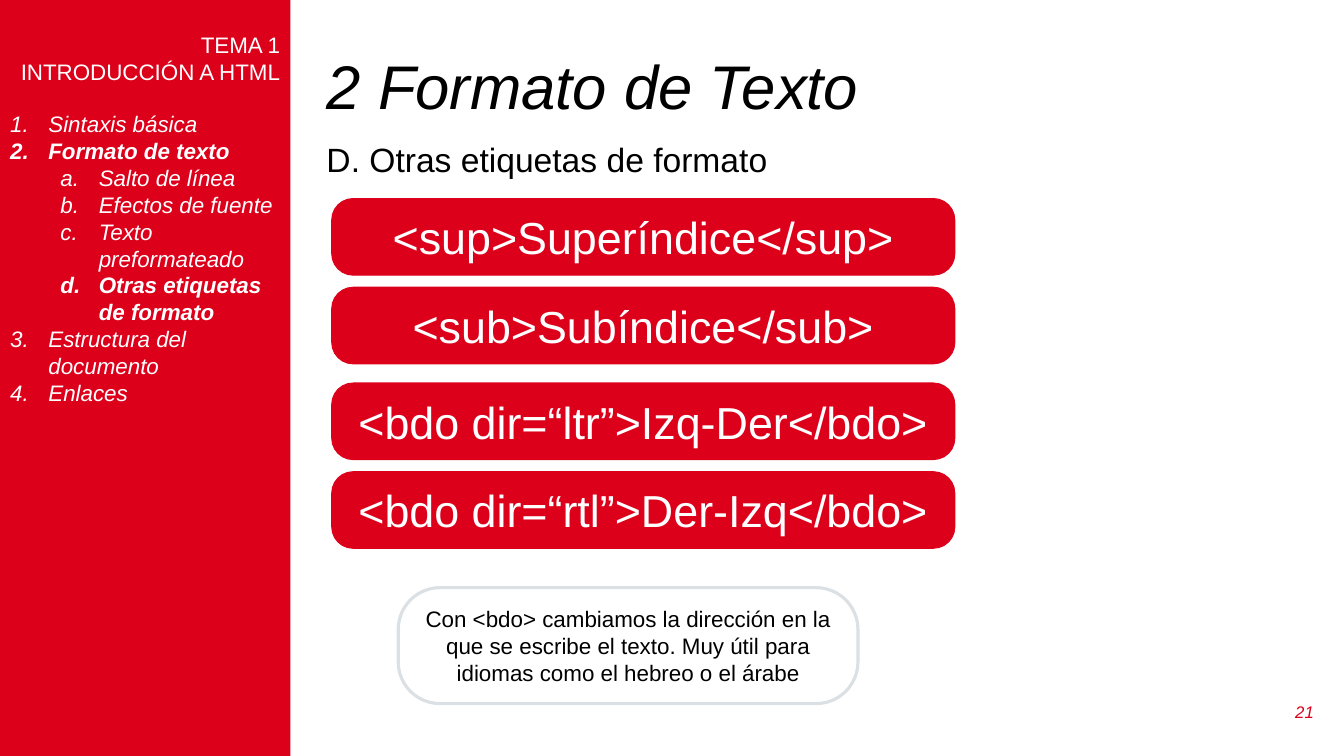
from pptx import Presentation
from pptx.dml.color import RGBColor
from pptx.enum.shapes import MSO_SHAPE
from pptx.enum.text import MSO_ANCHOR, MSO_AUTO_SIZE, PP_ALIGN
from pptx.oxml.ns import qn
from pptx.util import Inches, Pt
from lxml import etree

ROUNDED = MSO_SHAPE.ROUNDED_RECTANGLE
TOP, MIDDLE = MSO_ANCHOR.TOP, MSO_ANCHOR.MIDDLE
LEFT, CENTER, RIGHT = PP_ALIGN.LEFT, PP_ALIGN.CENTER, PP_ALIGN.RIGHT
NO_AUTOFIT = MSO_AUTO_SIZE.NONE

RED = RGBColor(0xDC, 0x00, 0x1B)
GRAY = RGBColor(0xDA, 0xE0, 0xE4)
WHITE = RGBColor(0xFF, 0xFF, 0xFF)
BLACK = RGBColor(0x00, 0x00, 0x00)
FONT = "Arial"

TITLE = "2 Formato de Texto"
SUBTITLE = "D. Otras etiquetas de formato"
UNIT = ["TEMA 1", "INTRODUCCIÓN A HTML"]
OUTLINE = [
    (0, "Sintaxis básica", False),
    (0, "Formato de texto", True),
    (1, "Salto de línea", False),
    (1, "Efectos de fuente", False),
    (1, "Texto preformateado", False),
    (1, "Otras etiquetas de formato", True),
    (0, "Estructura del documento", False),
    (0, "Enlaces", False),
]
TAG_PAIRS = [
    ["<sup>Superíndice</sup>", "<sub>Subíndice</sub>"],
    ["<bdo dir=“ltr”>Izq-Der</bdo>", "<bdo dir=“rtl”>Der-Izq</bdo>"],
]
NOTE = ("Con <bdo> cambiamos la dirección en la que se escribe el texto. "
        "Muy útil para idiomas como el hebreo o el árabe")
PAGE_NUMBER = "21"

PAGE_WIDTH, PAGE_HEIGHT = 13.33, 7.5
SIDEBAR_WIDTH = 2.88
CONTENT_LEFT = 3.14
TAG_LEFT, TAG_TOP, TAG_WIDTH, TAG_HEIGHT = 3.29, 1.97, 6.18, 0.76
TAG_STEP, PAIR_STEP = 0.88, 1.83
NUMBERING = [("arabicPeriod", 0.38), ("alphaLcPeriod", 0.88)]
HANGING = 0.38
LINE = 18.4


def place(box, left, top, width, height):
    box.left, box.top = Inches(left), Inches(top)
    box.width, box.height = Inches(width), Inches(height)


def prepare(box, anchor):
    frame = box.text_frame
    frame.word_wrap = True
    frame.auto_size = NO_AUTOFIT
    frame.vertical_anchor = anchor
    return frame


def write(para, text, size, color, align=LEFT, bold=False, italic=False):
    para.alignment = align
    span = para.add_run()
    span.text = text
    font = span.font
    font.name, font.size = FONT, Pt(size)
    font.bold, font.italic = bold, italic
    font.color.rgb = color


def add_label(page, area, text, size, color, align, anchor, italic=False):
    box = page.shapes.add_textbox(*map(Inches, area))
    para = prepare(box, anchor).paragraphs[0]
    write(para, text, size, color, align, italic=italic)


def add_pill(page, area, rounding, text, size, color, line_color, line_width, fill=None):
    box = page.shapes.add_shape(ROUNDED, *map(Inches, area))
    box.adjustments[0] = rounding
    box.shadow.inherit = False
    if fill is None:
        box.fill.background()
    else:
        box.fill.solid()
        box.fill.fore_color.rgb = fill
    box.line.color.rgb = line_color
    box.line.width = Pt(line_width)
    write(prepare(box, MIDDLE).paragraphs[0], text, size, color, CENTER)


def set_numbering(para, scheme=None, margin=0, indent=0):
    props = para._p.get_or_add_pPr()
    props.set("marL", str(Inches(margin)))
    props.set("indent", str(Inches(indent)))
    if scheme is None:
        etree.SubElement(props, qn("a:buNone"))
    else:
        etree.SubElement(props, qn("a:buFont"), typeface=FONT)
        etree.SubElement(props, qn("a:buAutoNum"), type=scheme)


def fill_sidebar(box):
    place(box, 0, 0, SIDEBAR_WIDTH, PAGE_HEIGHT)
    box.fill.solid()
    box.fill.fore_color.rgb = RED
    frame = prepare(box, TOP)
    frame.margin_top = Inches(0.05) + Pt(LINE)
    rows = [(None, text, False) for text in UNIT] + OUTLINE
    for index, (level, text, current) in enumerate(rows):
        para = frame.add_paragraph() if index else frame.paragraphs[0]
        para.line_spacing = 1.0
        para.space_before = Pt(LINE if index == len(UNIT) else 0)
        para.space_after = Pt(0)
        if level is None:
            write(para, text, 16, WHITE, RIGHT)
            set_numbering(para)
        else:
            para.level = level
            write(para, text, 16, WHITE, bold=current, italic=True)
            scheme, margin = NUMBERING[level]
            set_numbering(para, scheme, margin, -HANGING)


def main():
    deck = Presentation()
    deck.slide_width, deck.slide_height = Inches(PAGE_WIDTH), Inches(PAGE_HEIGHT)
    page = deck.slides.add_slide(deck.slide_layouts[1])

    title = page.shapes.title
    place(title, CONTENT_LEFT, 0.5, 9.99, 0.78)
    heading = prepare(title, MIDDLE).paragraphs[0]
    heading.line_spacing = 0.9
    write(heading, TITLE, 44, BLACK, italic=True)

    fill_sidebar(page.placeholders[1])
    add_label(page, (12.62, 6.86, 0.51, 0.4), PAGE_NUMBER, 12, RED, RIGHT, MIDDLE, True)
    add_label(page, (CONTENT_LEFT, 1.33, 7.46, 0.5), SUBTITLE, 24, BLACK, LEFT, TOP)

    for pair, tags in enumerate(TAG_PAIRS):
        for row, tag in enumerate(tags):
            top = TAG_TOP + pair * PAIR_STEP + row * TAG_STEP
            area = (TAG_LEFT, top, TAG_WIDTH, TAG_HEIGHT)
            add_pill(page, area, 0.28, tag, 32, WHITE, RED, 0.75, RED)
    add_pill(page, (3.95, 5.83, 4.56, 1.15), 0.36, NOTE, 16, BLACK, GRAY, 2.25)

    deck.save("out.pptx")


if __name__ == "__main__":
    main()
